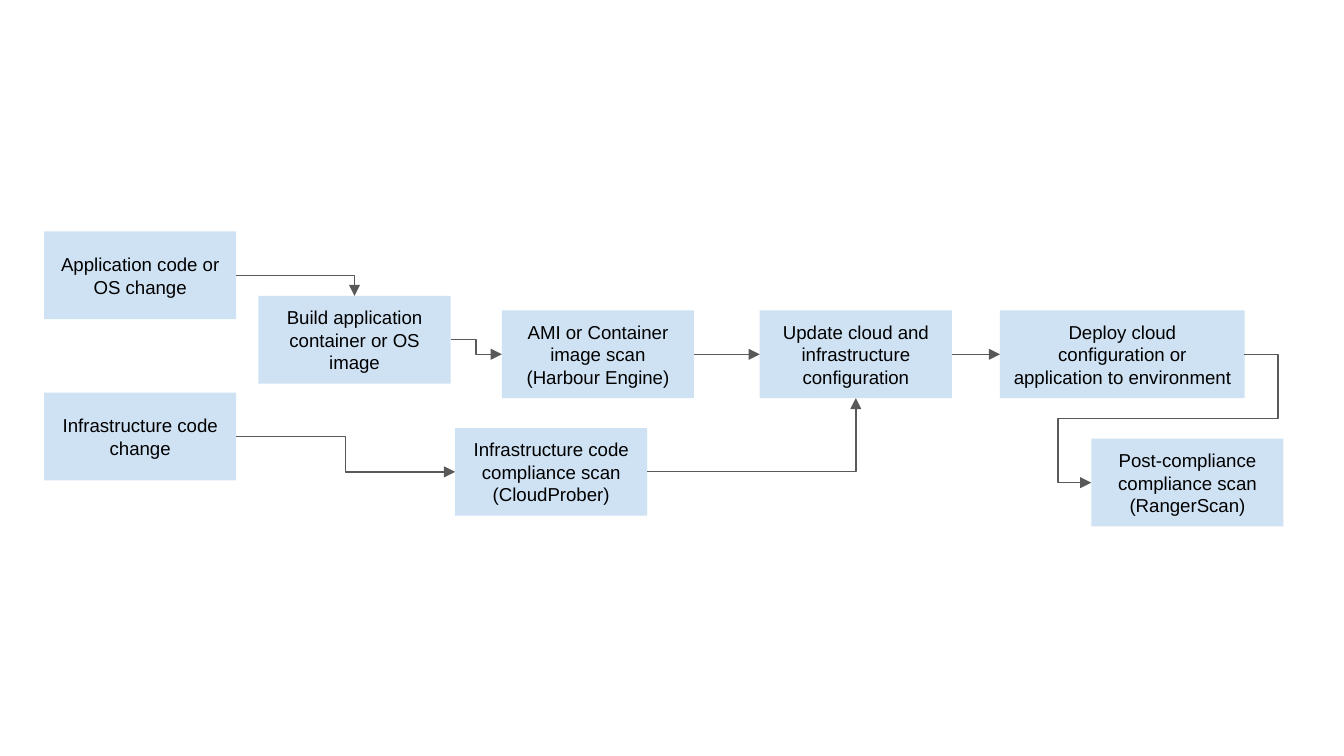
from dataclasses import dataclass

from lxml import etree
from pptx import Presentation
from pptx.dml.color import RGBColor
from pptx.enum.shapes import MSO_CONNECTOR, MSO_SHAPE
from pptx.enum.text import MSO_ANCHOR, PP_ALIGN
from pptx.oxml.ns import qn
from pptx.util import Inches, Pt

ELBOW = MSO_CONNECTOR.ELBOW
RECTANGLE = MSO_SHAPE.RECTANGLE
MIDDLE = MSO_ANCHOR.MIDDLE
CENTER = PP_ALIGN.CENTER
TOP, LEFT, BOTTOM, RIGHT = range(4)  # connection sites of a rectangle


@dataclass(frozen=True)
class Theme:
    font: str = "Arial"
    text_size: Pt = Pt(10)
    text: RGBColor = RGBColor(0x00, 0x00, 0x00)
    step_fill: RGBColor = RGBColor(0xCF, 0xE2, 0xF3)
    arrow: RGBColor = RGBColor(0x59, 0x59, 0x59)
    arrow_width: Pt = Pt(0.75)
    inset: Inches = Inches(0.1)


THEME = Theme()

# Step sizes and positions, in percent of the region
STEP_WIDTH, WIDE_STEP, STEP_HEIGHT = 14.3, 18.2, 11.6
MAIN_ROW = 41.07

# name: (left, top, width, paragraphs)
STEPS = {
    "build": (19.23, 39.15, STEP_WIDTH, ["Build application container or OS image"]),
    "deploy": (74.4, MAIN_ROW, WIDE_STEP,
               ["Deploy cloud configuration or application to environment"]),
    "update": (56.53, MAIN_ROW, STEP_WIDTH,
               ["Update cloud and infrastructure configuration"]),
    "app change": (3.28, 30.62, STEP_WIDTH, ["Application code or OS change"]),
    "infra change": (3.28, 51.95, STEP_WIDTH, ["Infrastructure code change"]),
    "infra scan": (33.86, 56.62, STEP_WIDTH,
                   ["Infrastructure code compliance scan (CloudProber)"]),
    "image scan": (37.34, MAIN_ROW, STEP_WIDTH,
                   ["AMI or Container image scan (Harbour Engine)"]),
    "post scan": (81.2, 58.04, STEP_WIDTH,
                  ["Post-compliance compliance scan", "(RangerScan)"]),
}

# (from, to, entry site, preset, bend adjustments)
ARROWS = [
    ("app change", "build", TOP, "bentConnector2", []),
    ("infra change", "infra scan", LEFT, "bentConnector3", [50000]),
    ("build", "image scan", LEFT, "bentConnector3", [50000]),
    ("update", "deploy", LEFT, "bentConnector3", [50000]),
    ("deploy", "post scan", LEFT, "bentConnector5", [-21800, 50000, 121800]),
    ("infra scan", "update", BOTTOM, "bentConnector2", []),
    ("image scan", "update", LEFT, "bentConnector3", [50000]),
]


def add_step(slide, box, paragraphs):
    """Place one filled process step in the given box."""
    shape = slide.shapes.add_shape(RECTANGLE, *box)
    shape.shadow.inherit = False
    shape.fill.solid()
    shape.fill.fore_color.rgb = THEME.step_fill
    shape.line.fill.background()
    frame = shape.text_frame
    frame.word_wrap = True
    frame.vertical_anchor = MIDDLE
    frame.margin_left = frame.margin_right = THEME.inset
    frame.margin_top = frame.margin_bottom = THEME.inset
    frame.text = "\n".join(paragraphs)
    for paragraph in frame.paragraphs:
        paragraph.alignment = CENTER
        paragraph.font.name = THEME.font
        paragraph.font.size = THEME.text_size
        paragraph.font.color.rgb = THEME.text
    return shape


def add_arrow(slide, source, target, entry_site, preset, adjustments):
    """Join the right side of one step to a site of the next."""
    connector = slide.shapes.add_connector(ELBOW, 0, 0, 0, 0)
    connector.begin_connect(source, RIGHT)
    connector.end_connect(target, entry_site)
    connector.line.color.rgb = THEME.arrow
    connector.line.width = THEME.arrow_width

    # Bends, arrowhead and no shadow
    properties = connector.element.spPr
    geometry = properties.find(qn("a:prstGeom"))
    geometry.set("prst", preset)
    guides = geometry.find(qn("a:avLst"))
    for number, value in enumerate(adjustments, start=1):
        etree.SubElement(guides, qn("a:gd"), name=f"adj{number}", fmla=f"val {value}")
    line = properties.find(qn("a:ln"))
    etree.SubElement(line, qn("a:tailEnd"), type="triangle", w="med", len="med")
    etree.SubElement(properties, qn("a:effectLst"))


def add_pipeline(slide, region):
    """Draw all steps and arrows inside the region."""
    region_left, region_top, region_width, region_height = region
    shapes = {}
    for name, (left, top, width, paragraphs) in STEPS.items():
        box = (
            int(region_left + region_width * left / 100),
            int(region_top + region_height * top / 100),
            int(region_width * width / 100),
            int(region_height * STEP_HEIGHT / 100),
        )
        shapes[name] = add_step(slide, box, paragraphs)
    for source, target, *route in ARROWS:
        add_arrow(slide, shapes[source], shapes[target], *route)


# Widescreen slide, 16 by 9
presentation = Presentation()
presentation.slide_width = Inches(10)
presentation.slide_height = presentation.slide_width * 9 // 16
blank_layout = presentation.slide_layouts[6]
pipeline_slide = presentation.slides.add_slide(blank_layout)
add_pipeline(pipeline_slide,
             (0, 0, presentation.slide_width, presentation.slide_height))
presentation.save("out.pptx")
